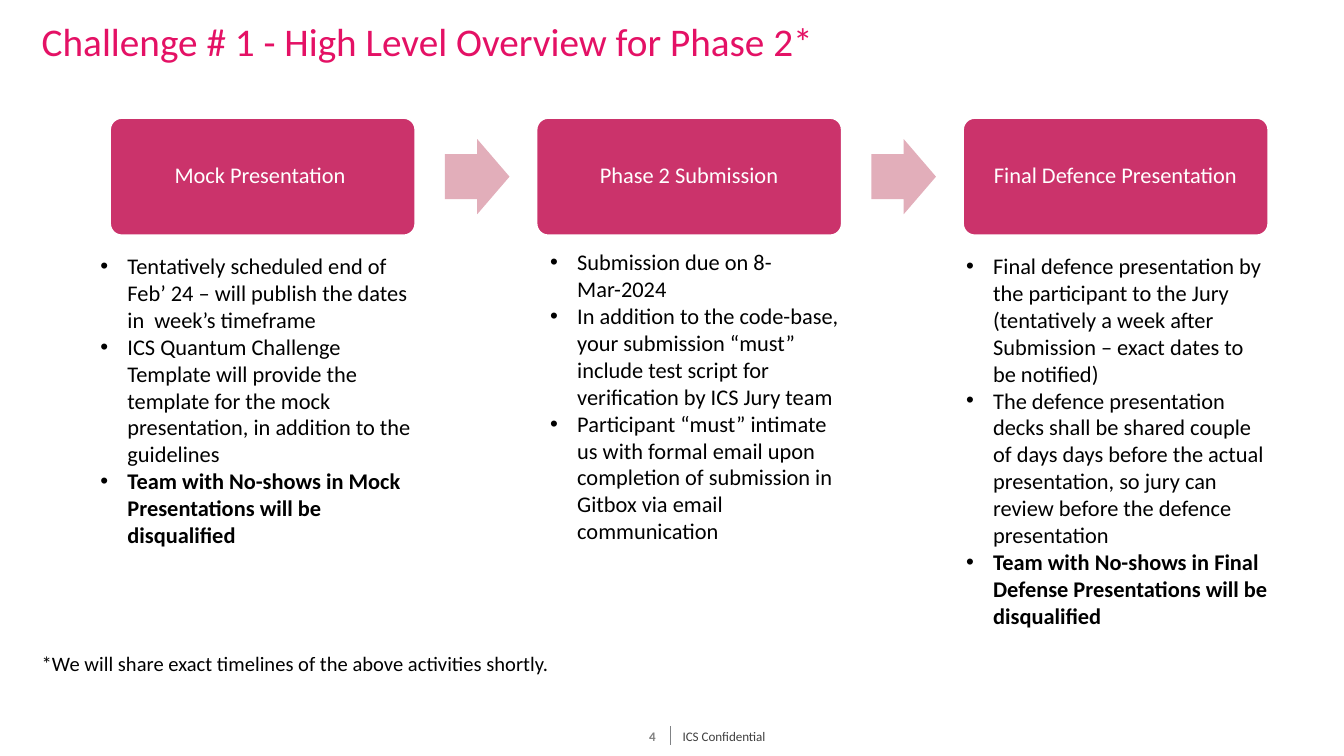
import dataclasses

import pptx
import pptx.dml.color
import pptx.enum.shapes
import pptx.enum.text
import pptx.oxml
import pptx.oxml.ns
import pptx.util

Cm, Pt = pptx.util.Cm, pptx.util.Pt
RGB = pptx.dml.color.RGBColor.from_string
SHAPE = pptx.enum.shapes.MSO_SHAPE
MIDDLE = pptx.enum.text.MSO_ANCHOR.MIDDLE
CENTER = pptx.enum.text.PP_ALIGN.CENTER


@dataclasses.dataclass(frozen=True)
class Theme:
    font: str = "Calibri"
    accent: str = "E41165"
    box: str = "CB336B"
    arrow: str = "E2AEBA"
    white: str = "FFFFFF"
    black: str = "000000"
    rule: str = "808285"
    page: str = "808080"
    footer: str = "404040"
    title_size: float = 21
    body_size: float = 12
    note_size: float = 11
    footer_size: float = 7


THEME = Theme()

STAGES = [
    ("Mock Presentation ", (1.9, 4.77, 5.87, 5.7), [
        ("Tentatively scheduled end of Feb’ 24 – will publish the dates in  week’s timeframe", False),
        ("ICS Quantum Challenge Template will provide the template for the mock "
         "presentation, in addition to the guidelines", False),
        ("Team with No-shows in Mock Presentations will be disqualified", True),
    ]),
    ("Phase 2 Submission", (10.4, 4.7, 5.64, 5.7), [
        ("Submission due on 8-Mar-2024", False),
        ("In addition to the code-base, your submission “must” include test script "
         "for verification by ICS Jury team", False),
        ("Participant “must” intimate us with formal email upon completion of "
         "submission in Gitbox via email communication", False),
    ]),
    ("Final Defence Presentation", (18.26, 4.77, 5.72, 7.15), [
        ("Final defence presentation by the participant to the Jury (tentatively a "
         "week after Submission – exact dates to be notified)", False),
        ("The defence presentation decks shall be shared couple of days days before "
         "the actual presentation, so jury can review before the defence presentation", False),
        ("Team with No-shows in Final Defense Presentations will be disqualified", True),
    ]),
]


def set_all(obj, values):
    for name, value in values.items():
        setattr(obj, name, value)


def set_frame(tf, inset=(0, 0), **values):
    side, edge = map(Cm, inset)
    set_all(tf, dict(word_wrap=True, margin_left=side, margin_right=side,
                     margin_top=edge, margin_bottom=edge) | values)


def add_run(p, text, size, color, bold=False):
    r = p.add_run()
    r.text = text
    set_all(r.font, dict(name=THEME.font, size=Pt(size), bold=bold))
    r.font.color.rgb = RGB(color)


def add_text(slide, box, text, size, color, bold=False, paragraph=None, **frame):
    tf = slide.shapes.add_textbox(*map(Cm, box)).text_frame
    set_frame(tf, **frame)
    p = tf.paragraphs[0]
    set_all(p, paragraph or {})
    add_run(p, text, size, color, bold)


def add_filled(slide, kind, box, fill, adjustments):
    sp = slide.shapes.add_shape(kind, *map(Cm, box))
    sp.shadow.inherit = False
    sp.fill.solid()
    sp.fill.fore_color.rgb = RGB(fill)
    sp.line.fill.background()
    for i, value in enumerate(adjustments):
        sp.adjustments[i] = value
    return sp


def add_stage(slide, box, label):
    sp = add_filled(slide, SHAPE.ROUNDED_RECTANGLE, box, THEME.box, [0.1])
    sp.line.color.rgb = RGB(THEME.white)
    sp.line.width = Pt(1)
    set_frame(sp.text_frame, inset=(0.2, 0.2), vertical_anchor=MIDDLE)
    p = sp.text_frame.paragraphs[0]
    set_all(p, dict(alignment=CENTER, line_spacing=0.9))
    add_run(p, label, THEME.body_size, THEME.white)


def add_process(slide, box, labels):
    left, top, width, height = box
    box_w, arrow_w, arrow_h, gap = 5.77, 1.22, 1.42, 0.56
    pitch = (width - box_w) / (len(labels) - 1)
    for i, label in enumerate(labels):
        x = left + i * pitch
        add_stage(slide, (x, top, box_w, height), label)
        if i < len(labels) - 1:
            arrow = (x + box_w + gap, top + (height - arrow_h) / 2, arrow_w, arrow_h)
            add_filled(slide, SHAPE.RIGHT_ARROW, arrow, THEME.arrow, [0.6, 0.5])


def add_bullets(slide, box, items):
    tf = slide.shapes.add_textbox(*map(Cm, box)).text_frame
    set_frame(tf)
    for i, (text, bold) in enumerate(items):
        p = tf.add_paragraph() if i else tf.paragraphs[0]
        add_run(p, text, THEME.body_size, THEME.black, bold)
        pPr = p._p.get_or_add_pPr()
        pPr.set("marL", str(Cm(0.51)))
        pPr.set("indent", str(-Cm(0.51)))
        for tag, key, value in (("buFont", "typeface", "Arial"), ("buChar", "char", "•")):
            bu = pptx.oxml.parse_xml(f"<a:{tag} {pptx.oxml.ns.nsdecls('a')}/>")
            bu.set(key, value)
            pPr.append(bu)


def add_footer(slide, box, number, text):
    left, top, width, height = box
    rule_x = left + 0.73
    page_w = 0.78
    cxn = slide.shapes.add_connector(pptx.enum.shapes.MSO_CONNECTOR.STRAIGHT,
                                     Cm(rule_x), Cm(top), Cm(rule_x), Cm(top + height))
    cxn.line.color.rgb = RGB(THEME.rule)
    cxn.line.width = Pt(0.5)
    cxn._element.spPr.append(
        pptx.oxml.parse_xml(f"<a:effectLst {pptx.oxml.ns.nsdecls('a')}/>"))
    frame = dict(inset=(0.18, 0), vertical_anchor=MIDDLE)
    add_text(slide, (left, top, page_w, height), number, THEME.footer_size, THEME.page,
             bold=True, paragraph=dict(alignment=CENTER), **frame)
    add_text(slide, (left + page_w, top, width - page_w, height), text,
             THEME.footer_size, THEME.footer, **frame)


def main():
    prs = pptx.Presentation()
    set_all(prs, dict(slide_width=Cm(25.4), slide_height=Cm(14.29)))
    slide = prs.slides.add_slide(prs.slide_layouts[6])
    add_footer(slide, (11.94, 13.73, 6, 0.36), "4", "ICS Confidential")
    add_text(slide, (0.54, 0.3, 21.89, 1.52), "Challenge # 1 - High Level Overview for Phase 2*",
             THEME.title_size, THEME.accent, paragraph=dict(line_spacing=0.9), inset=(0.25, 0.13))
    add_process(slide, (2.08, 2.23, 21.89, 2.22), [label for label, _, _ in STAGES])
    for _, box, items in STAGES:
        add_bullets(slide, box, items)
    add_text(slide, (0.79, 11.94, 20.95, 1.19),
             "*We will share exact timelines of the above activities shortly.",
             THEME.note_size, THEME.black, vertical_anchor=MIDDLE)
    prs.save("out.pptx")


if __name__ == "__main__":
    main()
